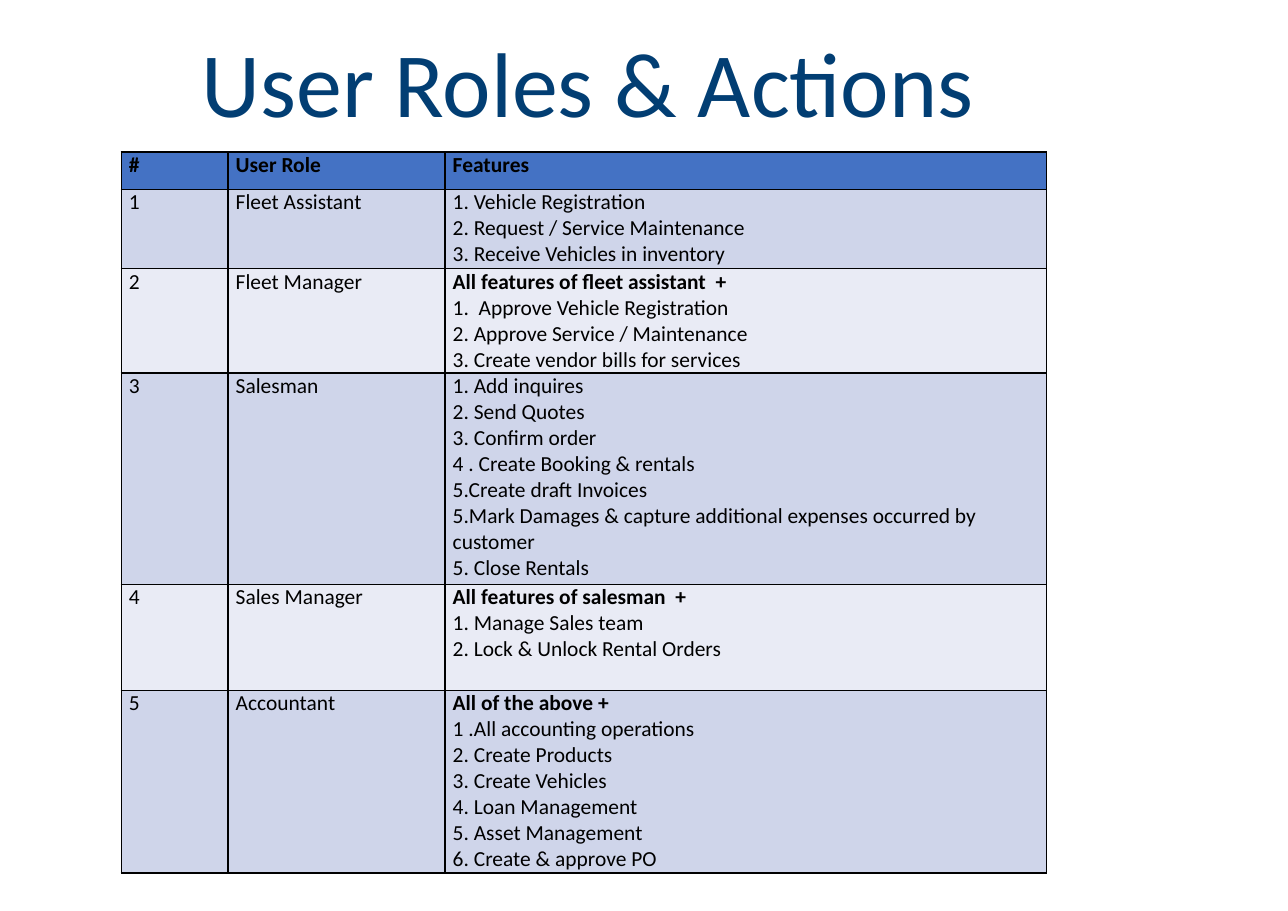
from lxml import etree
from pptx import Presentation
from pptx.dml.color import RGBColor
from pptx.enum import text
from pptx.oxml import ns
from pptx.util import Inches, Pt

FONT = "Calibri"
NAVY = RGBColor(0x02, 0x3E, 0x73)
BLACK = RGBColor(0, 0, 0)
HEADER_BLUE = RGBColor(0x44, 0x72, 0xC4)
BAND_DARK = RGBColor(0xCF, 0xD5, 0xEA)
BAND_LIGHT = RGBColor(0xE9, 0xEB, 0xF5)

COLUMN_WIDTHS = [0.97, 1.97, 5.46]
HEADERS = ["#", "User Role", "Features"]

# Role, row height, bold lead line, features
ROLES = [
    ("Fleet Assistant", 0.72, None, [
        "1. Vehicle Registration",
        "2. Request / Service Maintenance",
        "3. Receive Vehicles in inventory"]),
    ("Fleet Manager", 0.94, "All features of fleet assistant  +", [
        "1.  Approve Vehicle Registration",
        "2. Approve Service / Maintenance",
        "3. Create vendor bills for services"]),
    ("Salesman", 1.92, None, [
        "1. Add inquires",
        "2. Send Quotes",
        "3. Confirm order",
        "4 . Create Booking & rentals",
        "5.Create draft Invoices",
        "5.Mark Damages & capture additional expenses occurred by customer",
        "5. Close Rentals"]),
    ("Sales Manager", 0.96, "All features of salesman  +", [
        "1. Manage Sales team",
        "2. Lock & Unlock Rental Orders"]),
    ("Accountant", 1.66, "All of the above +", [
        "1 .All accounting operations",
        "2. Create Products",
        "3. Create Vehicles",
        "4. Loan Management",
        "5. Asset Management",
        "6. Create & approve PO"]),
]


def add_run(p, words, size, color, bold=False):
    r = p.add_run()
    r.text = words
    r.font.name = FONT
    r.font.size = Pt(size)
    r.font.bold = bold
    r.font.color.rgb = color


def set_borders(cell):
    tc_pr = cell._tc.get_or_add_tcPr()
    for side in ("lnL", "lnR", "lnT", "lnB"):
        line = etree.SubElement(tc_pr, ns.qn(f"a:{side}"), w=str(Pt(1)))
        fill = etree.SubElement(line, ns.qn("a:solidFill"))
        etree.SubElement(fill, ns.qn("a:srgbClr"), val=str(BLACK))


def fill_cell(cell, lines, color):
    """Write (words, bold) lines, one paragraph each."""
    set_borders(cell)
    cell.fill.solid()
    cell.fill.fore_color.rgb = color
    cell.margin_left = cell.margin_right = Inches(0.07)
    cell.margin_top = cell.margin_bottom = 0
    tf = cell.text_frame
    for i, (words, bold) in enumerate(lines):
        p = tf.add_paragraph() if i else tf.paragraphs[0]
        add_run(p, words, 14, BLACK, bold)


def add_title(s, words):
    sp = s.shapes.title
    sp.left, sp.top = Inches(1.1), Inches(0.19)
    sp.width, sp.height = Inches(8.47), Inches(1.11)
    tf = sp.text_frame
    tf.auto_size = text.MSO_AUTO_SIZE.NONE
    tf.vertical_anchor = text.MSO_ANCHOR.BOTTOM
    p = tf.paragraphs[0]
    p.alignment = text.PP_ALIGN.CENTER
    p.line_spacing = 0.9
    add_run(p, words, 60, NAVY)


def add_roles_table(s):
    heights = [0.34] + [height for _, height, _, _ in ROLES]
    table = s.shapes.add_table(
        len(heights), len(HEADERS), Inches(1.1), Inches(1.38),
        Inches(sum(COLUMN_WIDTHS)), Inches(sum(heights))).table
    for column, width in zip(table.columns, COLUMN_WIDTHS):
        column.width = Inches(width)
    for row, height in zip(table.rows, heights):
        row.height = Inches(height)

    # Header row
    for col, header in enumerate(HEADERS):
        fill_cell(table.cell(0, col), [(header, True)], HEADER_BLUE)

    # One banded row per role
    for number, (role, _, lead, features) in enumerate(ROLES, start=1):
        color = BAND_DARK if number % 2 else BAND_LIGHT
        lines = [(lead, True)] if lead else []
        lines += [(feature, False) for feature in features]
        row_lines = [[(str(number), False)], [(role, False)], lines]
        for col, cell_lines in enumerate(row_lines):
            fill_cell(table.cell(number, col), cell_lines, color)


def main():
    prs = Presentation()
    prs.slide_width, prs.slide_height = Inches(11.69), Inches(8.27)
    s = prs.slides.add_slide(prs.slide_layouts[5])
    add_title(s, "User Roles & Actions")
    add_roles_table(s)
    prs.save("out.pptx")


if __name__ == "__main__":
    main()
